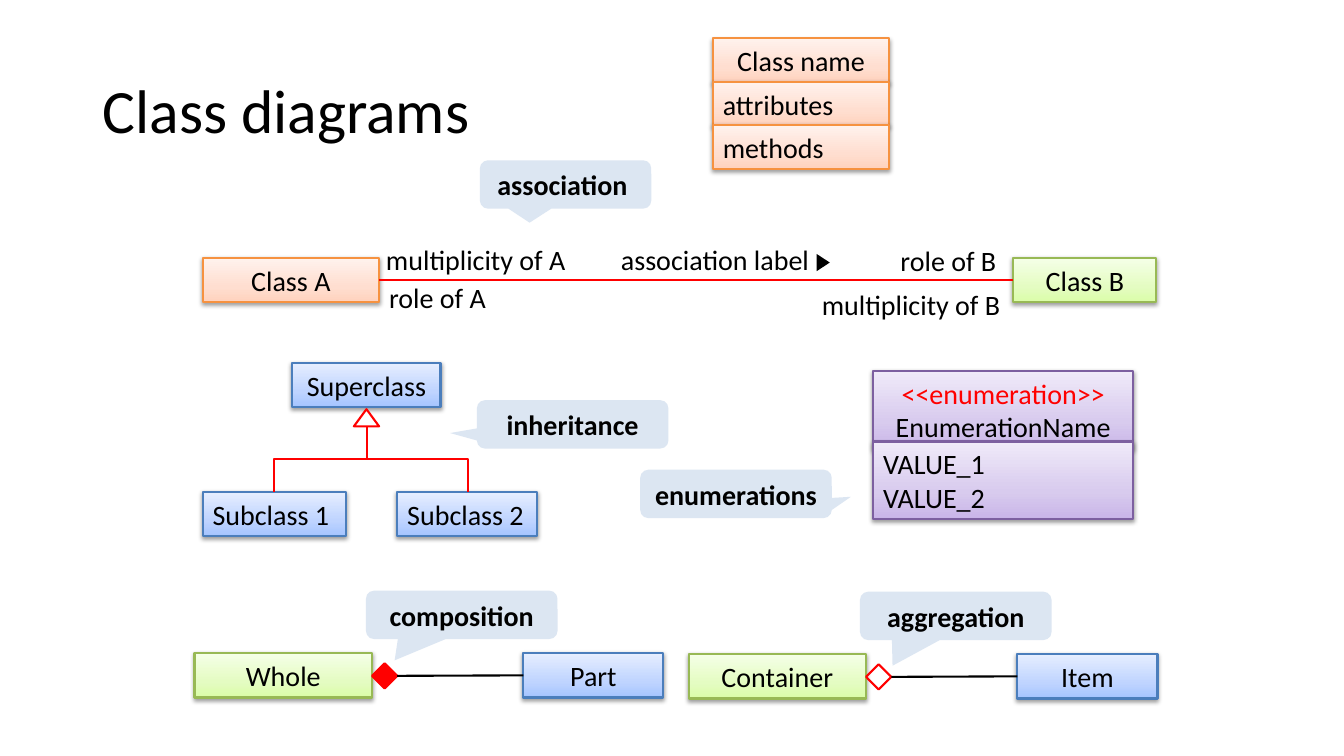
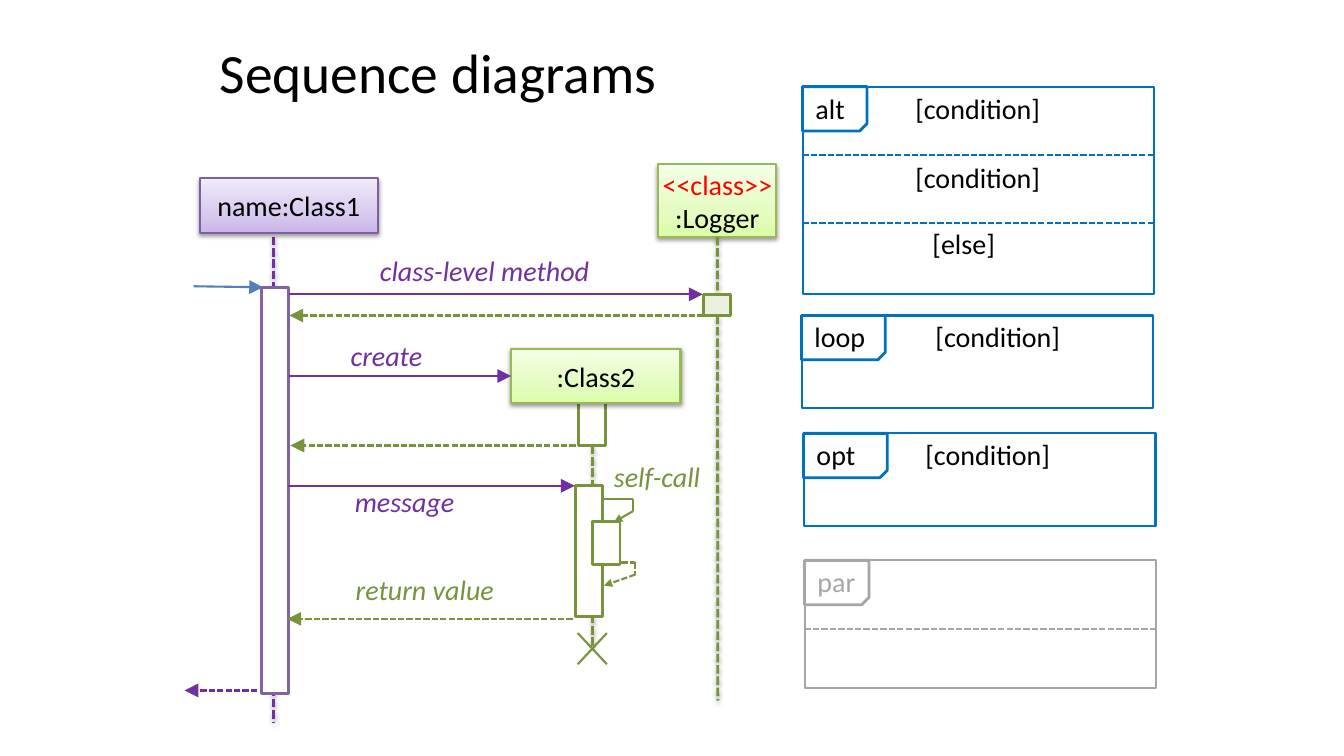
import copy
import itertools

import pptx
import pptx.dml.color
import pptx.enum.dml
import pptx.enum.shapes
import pptx.enum.text
import pptx.oxml
import pptx.oxml.ns
import pptx.util

RGBColor = pptx.dml.color.RGBColor
SHAPE = pptx.enum.shapes.MSO_SHAPE
CONNECTOR = pptx.enum.shapes.MSO_CONNECTOR
ALIGN = pptx.enum.text.PP_ALIGN
ANCHOR = pptx.enum.text.MSO_ANCHOR
DASH = pptx.enum.dml.MSO_LINE.SQUARE_DOT

EMU_PER_PX = 9144
FONT = "Calibri"
TEXT_SIZE = 20
THIN, THICK = 1.5, 2
TOP, LEFT, BOTTOM, RIGHT = range(4)

BLACK = RGBColor(0x00, 0x00, 0x00)
WHITE = RGBColor(0xFF, 0xFF, 0xFF)
RED = RGBColor(0xFF, 0x00, 0x00)
BLUE = RGBColor(0x00, 0x70, 0xC0)
STEEL = RGBColor(0x4F, 0x81, 0xBD)
GREY = RGBColor(0xA6, 0xA6, 0xA6)
VIOLET = RGBColor(0x70, 0x30, 0xA0)
MAUVE = RGBColor(0x80, 0x64, 0xA2)
OLIVE = RGBColor(0x77, 0x93, 0x3C)
PALE_OLIVE = RGBColor(0xEB, 0xF1, 0xDE)
PALE_BLUE = RGBColor(0xDC, 0xE6, 0xF2)

# Box themes: outline colour, then the gradient from bottom to top
ORANGE_BOX = (RGBColor(0xF6, 0x92, 0x40), RGBColor(0xFF, 0xD2, 0xBD),
              RGBColor(0xFF, 0xDE, 0xD0), RGBColor(0xFF, 0xF2, 0xED))
GREEN_BOX = (RGBColor(0x98, 0xB9, 0x55), RGBColor(0xDA, 0xFD, 0xA7),
             RGBColor(0xE4, 0xFC, 0xC2), RGBColor(0xF5, 0xFF, 0xE7))
PURPLE_BOX = (RGBColor(0x7D, 0x60, 0xA0), RGBColor(0xC9, 0xB5, 0xE8),
              RGBColor(0xD8, 0xCB, 0xEE), RGBColor(0xF0, 0xEA, 0xF9))
BLUE_BOX = (RGBColor(0x4B, 0x7E, 0xBC), RGBColor(0xA4, 0xC4, 0xFF),
            RGBColor(0xBF, 0xD4, 0xFF), RGBColor(0xE6, 0xEE, 0xFF))
STOP_POSITIONS = (0, 0.35, 1)

NAMESPACE = 'xmlns:a="http://schemas.openxmlformats.org/drawingml/2006/main"'
NO_EFFECT = f"<a:effectLst {NAMESPACE}/>"
SHADOW = (f'<a:effectLst {NAMESPACE}><a:outerShdw blurRad="40000" dist="20000" '
          'dir="5400000" rotWithShape="0"><a:srgbClr val="000000">'
          '<a:alpha val="38000"/></a:srgbClr></a:outerShdw></a:effectLst>')


def px(*lengths):
    return [pptx.util.Emu(round(length * EMU_PER_PX)) for length in lengths]


def set_attributes(target, values):
    for name, value in values.items():
        setattr(target, name, value)


def set_effect(shape, xml):
    """Replace the effects of a shape or connector."""
    properties = shape.element.spPr
    for effect in properties.findall(pptx.oxml.ns.qn("a:effectLst")):
        properties.remove(effect)
    properties.append(pptx.oxml.parse_xml(xml))


def write_text(shape, text, align=ALIGN.LEFT, anchor=ANCHOR.MIDDLE, margin=None,
               spacing=None, **font):
    """Fill a shape with one paragraph a line; <<stereotypes>> become red."""
    frame = shape.text_frame
    set_attributes(frame, {"word_wrap": True, "vertical_anchor": anchor})
    if margin is not None:
        sides = ("margin_left", "margin_top", "margin_right", "margin_bottom")
        set_attributes(frame, dict.fromkeys(sides, px(margin)[0]))
    colour = font.pop("colour", BLACK)
    values = {"name": FONT, "size": pptx.util.Pt(font.pop("size", TEXT_SIZE)), **font}
    frame.text = text
    for paragraph in frame.paragraphs:
        set_attributes(paragraph, {"alignment": align, "line_spacing": spacing})
        for run in paragraph.runs:
            set_attributes(run.font, values)
            run.font.color.rgb = RED if run.text.startswith("<<") else colour


def add_text(shapes, bounds, text, **style):
    style.setdefault("anchor", ANCHOR.TOP)
    write_text(shapes.add_textbox(*px(*bounds)), text, **style)


def add_title(shapes, bounds, text, size):
    add_text(shapes, bounds, text, size=size, spacing=0.9, anchor=ANCHOR.MIDDLE)


def add_figure(shapes, kind, bounds, fill=WHITE, outline=None, width=THIN):
    """Add a plain shape; None leaves out the fill or the outline."""
    figure = shapes.add_shape(kind, *px(*bounds))
    figure.shadow.inherit = False
    for part, colour in ((figure.fill, fill), (figure.line.fill, outline)):
        if colour is None:
            part.background()
        else:
            part.solid()
            part.fore_color.rgb = colour
    if outline is not None:
        figure.line.width = pptx.util.Pt(width)
    return figure


def add_box(shapes, bounds, text, theme, align=ALIGN.CENTER, margin=None):
    """Add a gradient class box with a soft shadow."""
    outline, *colours = theme
    box = add_figure(shapes, SHAPE.RECTANGLE, bounds, outline=outline)
    box.fill.gradient()
    box.fill.gradient_angle = 90
    stop_list = box.element.spPr.find(".//" + pptx.oxml.ns.qn("a:gsLst"))
    stop_list.append(copy.deepcopy(stop_list[0]))
    for stop, position, colour in zip(box.fill.gradient_stops, STOP_POSITIONS, colours):
        stop.position = position
        stop.color.rgb = colour
    set_effect(box, SHADOW)
    write_text(box, text, align, margin=margin)
    return box


def add_callout(shapes, bounds, text, pointer):
    callout = add_figure(shapes, SHAPE.ROUNDED_RECTANGULAR_CALLOUT, bounds, PALE_BLUE)
    for index, value in enumerate(pointer):
        callout.adjustments[index] = value
    write_text(callout, text, ALIGN.CENTER, bold=True)


def add_line(shapes, start, end, colour, width=THIN, dashed=False, arrow=None,
             shadow=False, kind=CONNECTOR.STRAIGHT):
    """Add a connector; arrow is the size of the head at its end."""
    line = shapes.add_connector(kind, *px(*start, *end))
    line.line.color.rgb = colour
    line.line.width = pptx.util.Pt(width)
    if dashed:
        line.line.dash_style = DASH
    if arrow:
        line.element.spPr.find(pptx.oxml.ns.qn("a:ln")).append(pptx.oxml.parse_xml(
            f'<a:tailEnd {NAMESPACE} type="triangle" w="{arrow}" len="{arrow}"/>'))
    set_effect(line, SHADOW if shadow else NO_EFFECT)
    return line


def add_branch(shapes, start, end):
    """Add an elbow that leaves and arrives vertically, as a turned connector."""
    (x1, y1), (x2, y2) = start, end
    sign = 1 if x2 > x1 else -1
    middle_x, middle_y = (x1 + x2) / 2, (y1 + y2) / 2
    half_x, half_y = sign * (y2 - y1) / 2, -sign * (x2 - x1) / 2
    branch = add_line(shapes, (middle_x - half_x, middle_y - half_y),
                      (middle_x + half_x, middle_y + half_y), RED, kind=CONNECTOR.ELBOW)
    turn = 90 if sign > 0 else 270
    branch.element.spPr.find(pptx.oxml.ns.qn("a:xfrm")).set("rot", str(turn * 60000))


def add_ownership(shapes, left, top, whole, part, part_left, diamond_fill):
    """Add a whole, its diamond and the line to its part."""
    add_box(shapes, (left, top, 176, 44), whole, GREEN_BOX)
    part_box = add_box(shapes, (part_left, top, 139, 44), part, BLUE_BOX)
    diamond = add_figure(shapes, SHAPE.FLOWCHART_DECISION,
                         (left + 176, top + 10, 25, 25), diamond_fill, RED)
    line = add_line(shapes, (part_left, top + 22), (left + 201, top + 22), BLACK)
    line.begin_connect(part_box, LEFT)
    line.end_connect(diamond, RIGHT)


def add_bar(shapes, left, top, height, colour=OLIVE, fill=WHITE):
    add_figure(shapes, SHAPE.RECTANGLE, (left, top, 27, height), fill, colour, THICK)


def add_lifeline(shapes, x, top, bottom, colour):
    return add_line(shapes, (x, top), (x, bottom), colour, THICK, dashed=True, shadow=True)


def add_message(shapes, y, start_x, end_x, colour, dashed=False):
    return add_line(shapes, (start_x, y), (end_x, y), colour, dashed=dashed, arrow="lg")


def add_self_message(shapes, points, dashed=False):
    group_shapes = shapes.add_group_shape().shapes
    last = len(points) - 2
    for index, (start, end) in enumerate(itertools.pairwise(points)):
        add_line(group_shapes, start, end, OLIVE, dashed=dashed,
                 arrow="med" if index == last else None)


def add_fragment(shapes, left, top, height, tag_width, keyword, colour=BLUE,
                 text_colour=BLACK, dividers=(), guards=()):
    """Add a sequence fragment frame with its tag, dividers and guards."""
    add_figure(shapes, SHAPE.RECTANGLE, (left, top, 349, height), WHITE, colour)
    tag = add_figure(shapes, SHAPE.SNIP_1_RECTANGLE, (left, top, tag_width, 44),
                     WHITE, colour, THICK)
    tag.element.spPr.find(pptx.oxml.ns.qn("a:xfrm")).set("flipV", "1")
    for y in dividers:
        add_line(shapes, (left, y), (left + 349, y), colour, dashed=True)
    for x, y, text in ((left + 3, top, keyword), *guards):
        add_text(shapes, (x, y, 150, 42), text, anchor=ANCHOR.MIDDLE, colour=text_colour)


def build_class_slide(shapes):
    add_title(shapes, (92, 40, 1150, 145), "Class diagrams", 44)

    class_a = add_box(shapes, (201, 256, 175, 44), "Class A", ORANGE_BOX)
    class_b = add_box(shapes, (1005, 256, 142, 44), "Class B", GREEN_BOX)
    association = add_line(shapes, (376, 278), (1005, 278), RED)
    association.begin_connect(class_a, RIGHT)
    association.end_connect(class_b, LEFT)
    for bounds, text, align in (
            ((373, 236, 205, 44), "multiplicity of A", ALIGN.LEFT),
            ((606, 236, 240, 44), "association label", ALIGN.LEFT),
            ((376, 273, 189, 44), "role of A", ALIGN.LEFT),
            ((850, 237, 148, 44), "role of B", ALIGN.RIGHT),
            ((802, 280, 200, 44), "multiplicity of B", ALIGN.RIGHT)):
        add_text(shapes, bounds, text, align=align)
    add_figure(shapes, SHAPE.ISOSCELES_TRIANGLE, (808, 254, 17, 13), BLACK).rotation = 90

    add_box(shapes, (866, 368, 258, 77), "<<enumeration>>\nEnumerationName", PURPLE_BOX)
    add_box(shapes, (866, 438, 258, 77), "VALUE_1\nVALUE_2", PURPLE_BOX, ALIGN.LEFT)

    add_box(shapes, (290, 360, 147, 44), "Superclass", BLUE_BOX)
    add_box(shapes, (201, 488, 142, 44), "Subclass 1", BLUE_BOX, ALIGN.LEFT)
    add_box(shapes, (394, 488, 139, 44), "Subclass 2", BLUE_BOX, ALIGN.LEFT)
    add_figure(shapes, SHAPE.ISOSCELES_TRIANGLE, (351, 406, 25, 17), WHITE, RED)
    for x in (272, 464):
        add_branch(shapes, (x, 488), (364, 423))

    for index, (text, align) in enumerate((("Class name", ALIGN.CENTER),
                                           ("attributes", ALIGN.LEFT),
                                           ("methods", ALIGN.LEFT))):
        add_box(shapes, (707, 38 + 43 * index, 175, 44), text, ORANGE_BOX, align)

    add_ownership(shapes, 193, 648, "Whole", "Part", 519, RED)
    add_ownership(shapes, 683, 649, "Container", "Item", 1009, None)

    for bounds, text, pointer in (
            ((476, 159, 170, 48), "association ", (-0.21, 0.79)),
            ((473, 397, 190, 48), "inheritance", (-0.64, 0.18)),
            ((363, 586, 190, 48), "composition", (-0.35, 0.94)),
            ((635, 466, 190, 48), "enumerations", (0.6, 0.06)),
            ((853, 587, 190, 48), "aggregation", (-0.33, 1.03))):
        add_callout(shapes, bounds, text, pointer)


def build_sequence_slide(shapes):
    add_title(shapes, (208, 31, 481, 87), "Sequence diagrams", 39.6)

    add_self_message(shapes, ((583, 558), (630, 558), (630, 570), (599, 581)), dashed=True)
    add_lifeline(shapes, 271, 235, 717, VIOLET)
    add_box(shapes, (198, 177, 177, 54), "name:Class1", PURPLE_BOX)
    add_line(shapes, (192, 284), (261, 285), STEEL, arrow="lg")
    add_message(shapes, 685, 255, 183, VIOLET, dashed=True)
    add_bar(shapes, 259, 285, 403, MAUVE)

    add_lifeline(shapes, 588, 420, 642, OLIVE)
    add_bar(shapes, 574, 399, 43)
    add_bar(shapes, 571, 482, 130)
    add_bar(shapes, 588, 517, 43)
    class_2 = add_box(shapes, (507, 346, 168, 54), ":Class2", GREEN_BOX)
    add_message(shapes, 373, 287, 507, VIOLET).end_connect(class_2, LEFT)
    add_message(shapes, 442, 571, 288, OLIVE, dashed=True)
    add_message(shapes, 482, 286, 570, VIOLET)
    add_message(shapes, 614, 568, 285, OLIVE, dashed=True)
    add_self_message(shapes, ((599, 495), (628, 495), (628, 507), (609, 518)))
    for start_x, end_x in ((573, 602), (602, 573)):
        add_line(shapes, (start_x, 628), (end_x, 659), OLIVE)

    logger = add_box(shapes, (653, 163, 117, 72), "<<class>>\n:Logger", GREEN_BOX, margin=0)
    add_lifeline(shapes, 712, 235, 695, OLIVE).begin_connect(logger, BOTTOM)
    add_message(shapes, 292, 287, 697, VIOLET)
    add_bar(shapes, 698, 292, 21, fill=PALE_OLIVE)
    add_message(shapes, 313, 698, 287, OLIVE, dashed=True)

    for bounds, text, colour in (
            ((367, 247, 234, 44), "class-level method", VIOLET),
            ((338, 331, 117, 44), "create", VIOLET),
            ((342, 476, 139, 44), "message", VIOLET),
            ((343, 563, 212, 44), "return value", OLIVE),
            ((599, 451, 131, 44), "self-call", OLIVE)):
        add_text(shapes, bounds, text, colour=colour, italic=True)

    add_fragment(shapes, 796, 86, 206, 64, "alt", dividers=(154, 221),
                 guards=((898, 86, "[condition]"), (898, 155, "[condition]"),
                         (915, 220, "[else]")))
    add_fragment(shapes, 795, 313, 92, 83, "loop", guards=((918, 313, "[condition]"),))
    add_fragment(shapes, 797, 430, 92, 83, "opt", guards=((908, 430, "[condition]"),))
    add_fragment(shapes, 798, 556, 127, 64, "par", GREY, GREY, dividers=(624,))


def main():
    presentation = pptx.Presentation()
    width, height = px(1333, 750)
    set_attributes(presentation, {"slide_width": width, "slide_height": height})
    for build in (build_class_slide, build_sequence_slide):
        build(presentation.slides.add_slide(presentation.slide_layouts[6]).shapes)
    presentation.save("out.pptx")


if __name__ == "__main__":
    main()
